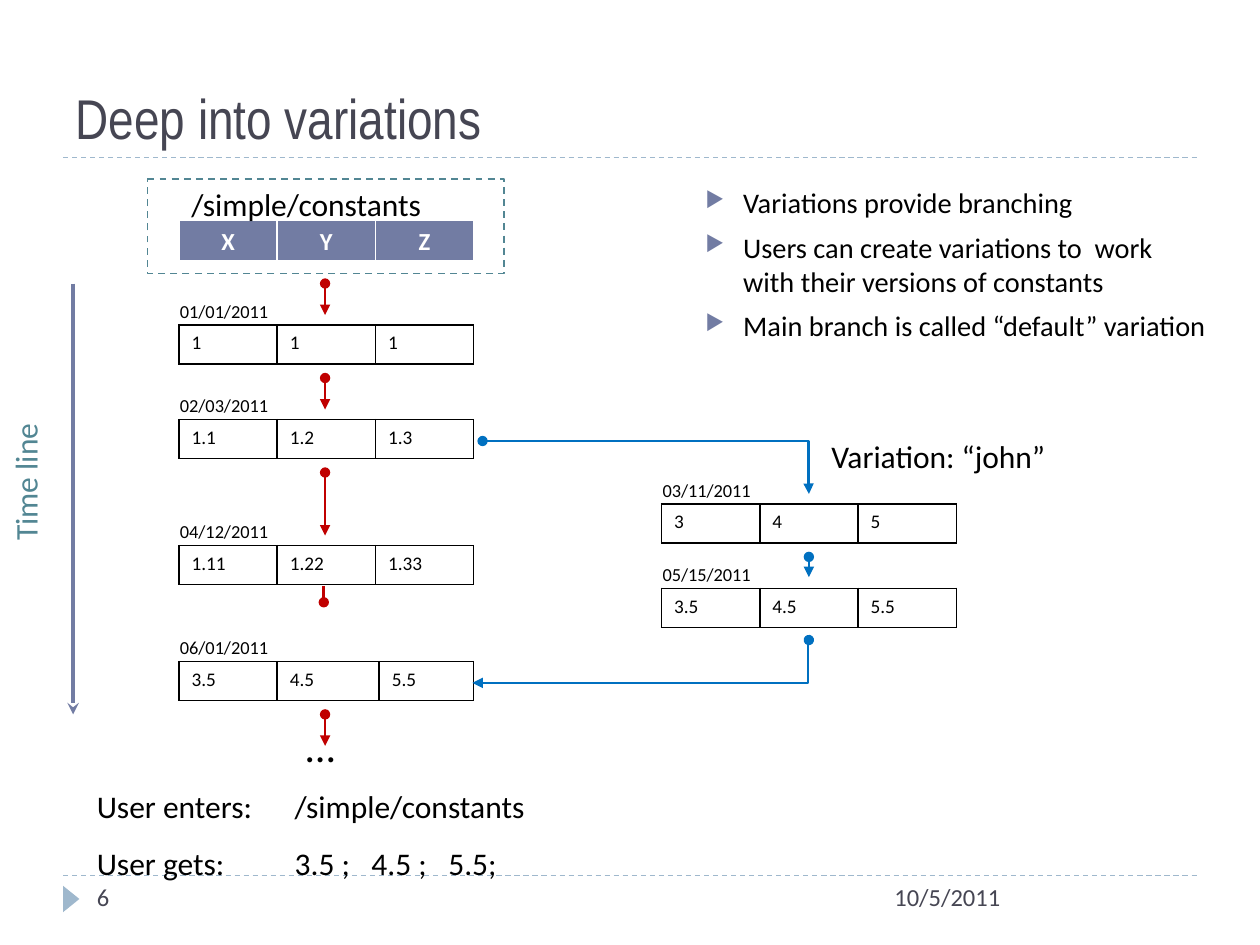
from lxml import etree
from pptx import Presentation
from pptx.dml.color import RGBColor
from pptx.enum.dml import MSO_LINE
from pptx.enum.shapes import MSO_CONNECTOR, MSO_SHAPE
from pptx.enum.text import MSO_ANCHOR, PP_ALIGN
from pptx.oxml import parse_xml
from pptx.oxml.ns import nsdecls, qn
from pptx.util import Inches, Pt

STRAIGHT, ELBOW = MSO_CONNECTOR.STRAIGHT, MSO_CONNECTOR.ELBOW
DASH = MSO_LINE.DASH
TITLE_ONLY = 5
COLORS = {
    "black": "000000", "white": "FFFFFF", "ink": "464653", "teal": "528693",
    "slate": "727CA3", "pale": "9FB8CD", "red": "C00000", "blue": "0070C0",
}
RGB = {name: RGBColor.from_string(value) for name, value in COLORS.items()}


def add_text(text, left, top, width, height, size, color="black", wrap=False):
    box = slide.shapes.add_textbox(Inches(left), Inches(top), Inches(width), Inches(height))
    box.text_frame.word_wrap = wrap
    box.text_frame.text = text
    for paragraph in box.text_frame.paragraphs:
        paragraph.font.name = "Calibri"
        paragraph.font.size = Pt(size)
        paragraph.font.color.rgb = RGB[color]
    return box


def add_line(x1, y1, x2, y2, color, width=1.5, head=None, tail=None, kind=STRAIGHT, dash=None):
    line = slide.shapes.add_connector(kind, Inches(x1), Inches(y1), Inches(x2), Inches(y2))
    line.line.color.rgb = RGB[color]
    line.line.width = Pt(width)
    if dash:
        line.line.dash_style = dash
    outline = line.line._get_or_add_ln()
    for tag, end in (("a:headEnd", head), ("a:tailEnd", tail)):
        if end:
            etree.SubElement(outline, qn(tag), type=end)
    etree.SubElement(line._element.spPr, qn("a:effectLst"))
    return line


presentation = Presentation()
presentation.slide_width, presentation.slide_height = Inches(10), Inches(7.5)
slide = presentation.slides.add_slide(presentation.slide_layouts[TITLE_ONLY])

title = slide.shapes.title
title.left, title.top, title.width, title.height = Inches(0.5), Inches(0.17), Inches(9), Inches(1.08)
title.text_frame.text = "Deep into variations"
title.text_frame.vertical_anchor = MSO_ANCHOR.BOTTOM
paragraph = title.text_frame.paragraphs[0]
paragraph.alignment = PP_ALIGN.LEFT
paragraph.font.name = "Arial Narrow"
paragraph.font.size = Pt(32)
paragraph.font.color.rgb = RGB["ink"]

for y in (1.25, 6.95):
    add_line(0.5, y, 9.5, y, "pale", 0.75, dash=DASH)

marker = slide.shapes.add_shape(
    MSO_SHAPE.ISOSCELES_TRIANGLE, Inches(0.46), Inches(7.07), Inches(0.21), Inches(0.13))
marker.rotation = 90
marker.shadow.inherit = False
marker.fill.solid()
marker.fill.fore_color.rgb = RGB["pale"]
marker.line.fill.background()

frame = slide.shapes.add_shape(
    MSO_SHAPE.FLOWCHART_PROCESS, Inches(1.17), Inches(1.42), Inches(2.83), Inches(0.75))
frame.shadow.inherit = False
frame.fill.solid()
frame.fill.fore_color.rgb = RGB["white"]
frame.line.color.rgb = RGB["teal"]
frame.line.width = Pt(1)
frame.line.dash_style = DASH

add_line(0.58, 2.25, 0.58, 5.67, "slate", 2.25, tail="stealth")
add_text("Time line", -0.37, 3.62, 1.14, 0.4, 18, "teal").rotation = 270

MAIN_X, BRANCH_X = 1.42, 5.25
EVEN = (0.78, 0.78, 0.78)
tables = [
    (MAIN_X, 1.75, None, ("X", "Y", "Z"), EVEN),
    (MAIN_X, 2.58, "01/01/2011", ("1", "1", "1"), EVEN),
    (MAIN_X, 3.33, "02/03/2011", ("1.1", "1.2", "1.3"), EVEN),
    (BRANCH_X, 4, "03/11/2011", ("3", "4", "5"), EVEN),
    (MAIN_X, 4.33, "04/12/2011", ("1.11", "1.22", "1.33"), EVEN),
    (BRANCH_X, 4.67, "05/15/2011", ("3.5", "4.5", "5.5"), EVEN),
    (MAIN_X, 5.25, "06/01/2011", ("3.5", "4.5", "5.5"), (0.78, 0.81, 0.75)),
]
for left, top, date, values, widths in tables:
    is_header = date is None
    height = 0.33 if is_header else 0.31
    table = slide.shapes.add_table(
        1, 3, Inches(left), Inches(top), Inches(sum(widths)), Inches(height)).table
    table.first_row = table.horz_banding = False
    for column, width in zip(table.columns, widths):
        column.width = Inches(width)
    for cell, value in zip(table.rows[0].cells, values):
        cell.text = value
        paragraph = cell.text_frame.paragraphs[0]
        paragraph.alignment = PP_ALIGN.CENTER if is_header else PP_ALIGN.LEFT
        paragraph.font.name = "Calibri"
        paragraph.font.size = Pt(14 if is_header else 11)
        paragraph.font.bold = is_header
        paragraph.font.color.rgb = RGB["white" if is_header else "black"]
        properties = cell._tc.get_or_add_tcPr()
        border_color = COLORS["white" if is_header else "black"]
        for side in "LRTB":
            border_width = Pt(3 if is_header and side == "B" else 1)
            properties.append(parse_xml(
                f'<a:ln{side} {nsdecls("a")} w="{border_width}"><a:solidFill>'
                f'<a:srgbClr val="{border_color}"/></a:solidFill></a:ln{side}>'))
        if is_header:
            cell.fill.solid()
            cell.fill.fore_color.rgb = RGB["slate"]
        else:
            cell.fill.background()
    if date:
        add_text(date, left - 0.09, top - 0.25, 0.92, 0.28, 10.5)

for y1, y2 in ((2.25, 2.5), (3, 3.25), (3.75, 4.25), (5.67, 5.92)):
    add_line(2.58, y1, 2.58, y2, "red", head="oval", tail="triangle")
add_line(2.57, 4.65, 2.57, 4.78, "red", tail="oval")
add_line(6.42, 4.42, 6.42, 4.58, "blue", head="oval", tail="triangle")

for x1, y1, x2, y2, bend in ((3.83, 3.5, 6.42, 3.92, 99900), (6.42, 5.08, 3.75, 5.42, 300)):
    branch = add_line(x1, y1, x2, y2, "blue", head="oval", tail="triangle", kind=ELBOW)
    adjustments = branch._element.spPr.find(qn("a:prstGeom")).get_or_add_avLst()
    etree.SubElement(adjustments, qn("a:gd"), name="adj1", fmla=f"val {bend}")

add_text("Variation: “john”", 6.5, 3.42, 1.92, 0.4, 18)
add_text("/simple/constants", 1.42, 1.42, 2.1, 0.4, 18)
add_text("…", 2.33, 5.67, 0.44, 0.5, 24)

points = [
    "Variations provide branching",
    "Users can create variations to  work \vwith their versions of constants",
    "Main branch is called “default” variation",
]
bullets = add_text("\n".join(points), 5.5, 1.42, 4.25, 1.17, 16.2, wrap=True)
for paragraph in bullets.text_frame.paragraphs:
    paragraph.space_before = Pt(6)
    properties = paragraph._p.get_or_add_pPr()
    properties.set("marL", str(Inches(0.3)))
    properties.set("indent", str(Inches(-0.3)))
    defaults = properties.find(qn("a:defRPr"))
    for xml in (f'<a:buClr {nsdecls("a")}><a:srgbClr val="{COLORS["slate"]}"/></a:buClr>',
                f'<a:buSzPct {nsdecls("a")} val="76000"/>',
                f'<a:buChar {nsdecls("a")} char="▶"/>'):
        defaults.addprevious(parse_xml(xml))

result = slide.shapes.add_shape(
    MSO_SHAPE.RECTANGLE, Inches(0.67), Inches(6.17), Inches(6.5), Inches(0.75))
result.shadow.inherit = False
result.fill.solid()
result.fill.fore_color.rgb = RGB["white"]
result.line.color.rgb = RGB["white"]
result.line.width = Pt(1.5)
result.text_frame.vertical_anchor = MSO_ANCHOR.MIDDLE
result.text_frame.text = "User enters:\t/simple/constants"
paragraph = result.text_frame.paragraphs[0]
paragraph.add_line_break()
paragraph.add_run().text = "User gets:\t3.5 ;\t4.5 ;\t5.5;"
paragraph.alignment = PP_ALIGN.LEFT
paragraph.line_spacing = 1.5
tab_stops = etree.SubElement(paragraph._p.get_or_add_pPr(), qn("a:tabLst"))
for position in (1.57, 2.18, 2.79):
    etree.SubElement(tab_stops, qn("a:tab"), pos=str(Inches(position)), algn="l")
paragraph.font.name = "Calibri"
paragraph.font.size = Pt(18)
paragraph.font.color.rgb = RGB["black"]

add_text("10/5/2011", 7, 6.95, 2.5, 0.4, 14, "ink", wrap=True)
add_text("6", 0.67, 6.95, 2.17, 0.4, 14, "ink", wrap=True)

presentation.save("out.pptx")
